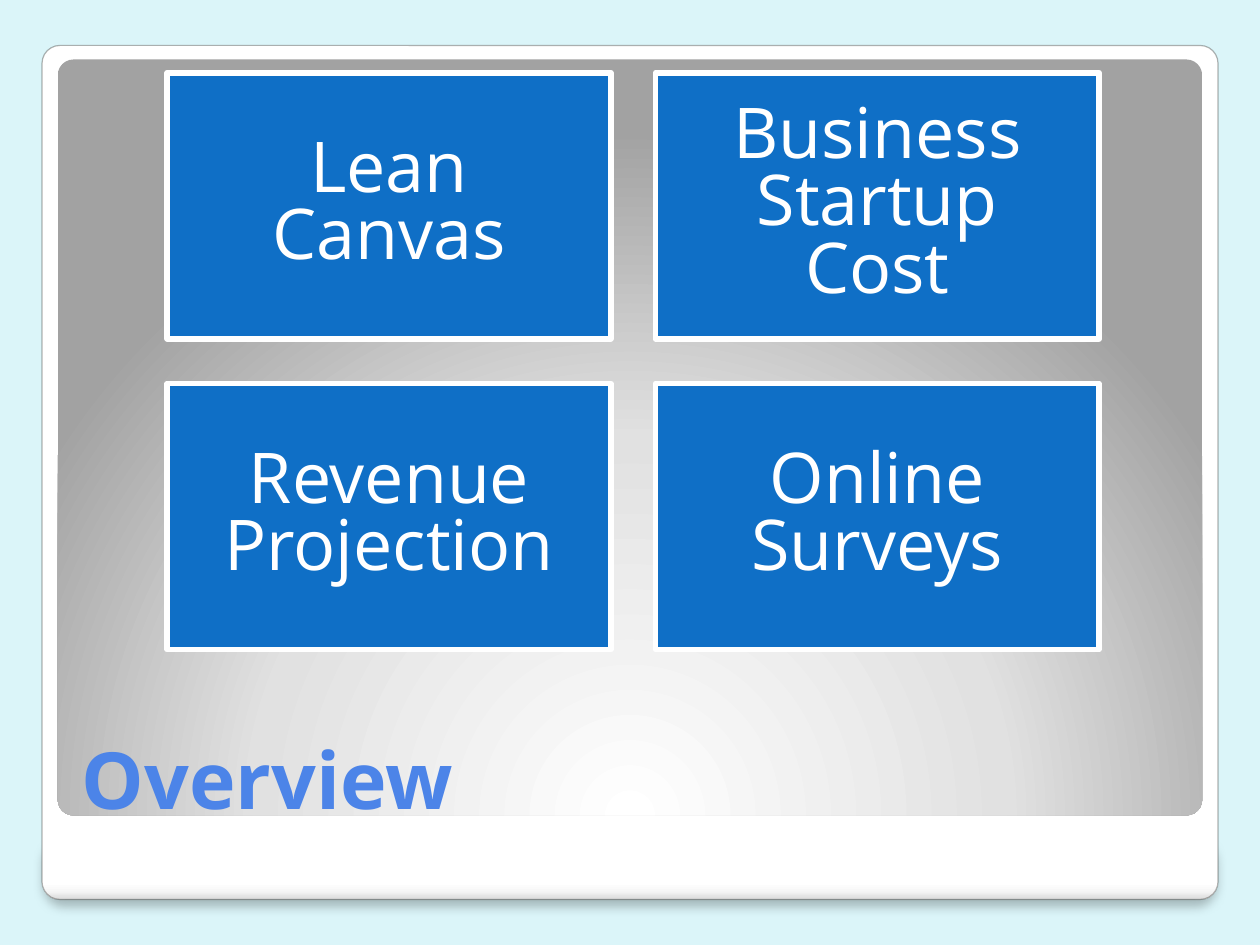
import dataclasses

import lxml.etree
import pptx
import pptx.dml.color
import pptx.enum.shapes
import pptx.enum.text
import pptx.oxml
import pptx.oxml.ns
import pptx.util

Pt = pptx.util.Pt
RGBColor = pptx.dml.color.RGBColor
SHAPE = pptx.enum.shapes.MSO_SHAPE
ALIGN = pptx.enum.text.PP_ALIGN
ANCHOR = pptx.enum.text.MSO_ANCHOR
qn = pptx.oxml.ns.qn

PALE_AQUA = RGBColor(0xDB, 0xF5, 0xF9)
FRAME_GREY = RGBColor(0x30, 0x2F, 0x2C)
TILE_BLUE = RGBColor(0x0F, 0x6F, 0xC6)
TITLE_BLUE = RGBColor(0x4C, 0x84, 0xE8)
WHITE = RGBColor(0xFF, 0xFF, 0xFF)
LIGHT_GREY = RGBColor(0xE1, 0xE1, 0xE1)
MID_GREY = RGBColor(0xA2, 0xA2, 0xA2)
EDGE_GREY = RGBColor(0xF7, 0xF7, 0xF7)
RIM_GREY = RGBColor(0xDA, 0xDA, 0xDA)
BLACK = RGBColor(0, 0, 0)

FONT = "Open Sans"
FRAME_STOPS = ((0, WHITE), (98, WHITE), (99, EDGE_GREY), (100, RIM_GREY))
GLOW_STOPS = ((0, WHITE), (55, LIGHT_GREY), (100, MID_GREY))
DOWNWARD = '<a:lin ang="5400000" scaled="0"/>'
FROM_BOTTOM = ('<a:path path="circle"><a:fillToRect l="100000" t="350000" '
               'r="100000" b="100000"/></a:path>')


@dataclasses.dataclass(frozen=True)
class Panel:
    left: float
    top: float
    width: float
    height: float
    corner: float
    stops: tuple
    direction: str
    outlined: bool = True
    shadowed: bool = False


PANELS = (
    Panel(25.2, 477.4, 669.6, 36, 0.333, FRAME_STOPS, DOWNWARD, shadowed=True),
    Panel(24, 26, 672, 488, 0.021, FRAME_STOPS, DOWNWARD),
    Panel(33, 34, 654, 432, 0.021, GLOW_STOPS, FROM_BOTTOM, outlined=False),
)

TILE_LABELS = ("Lean Canvas", "Business Startup Cost",
               "Revenue Projection", "Online Surveys")
TILE_COLUMNS = 2
TILE_LEFT, TILE_TOP = 95.6, 41.6
TILE_WIDTH, TILE_HEIGHT = 253.4, 152
TILE_GAP = 25.6
TILE_INSET = 12


def drawing_xml(markup: str) -> lxml.etree._Element:
    """Parse a DrawingML fragment whose root carries the {ns} marker."""
    return pptx.oxml.parse_xml(markup.replace("{ns}", pptx.oxml.ns.nsdecls("a")))


def set_gradient(shape, stops: tuple, direction: str) -> None:
    shape.fill.gradient()
    stop_markup = "".join(
        f'<a:gs pos="{position * 1000}"><a:srgbClr val="{color}"/></a:gs>'
        for position, color in stops)
    gradient = drawing_xml(f'<a:gradFill {{ns}} rotWithShape="1"><a:gsLst>{stop_markup}'
                           f'</a:gsLst>{direction}</a:gradFill>')
    properties = shape._element.spPr
    properties.replace(properties.find(qn("a:gradFill")), gradient)


def set_shadow(shape) -> None:
    effects = shape._element.spPr.find(qn("a:effectLst"))
    effects.append(drawing_xml(
        f'<a:outerShdw {{ns}} blurRad="{Pt(6)}" dist="{Pt(4)}" dir="5400000" '
        f'algn="t" rotWithShape="0"><a:srgbClr val="{BLACK}">'
        '<a:alpha val="25000"/></a:srgbClr></a:outerShdw>'))


def write_text(shape, text: str, *, size: float, color: RGBColor,
               bold: bool = False, align=ALIGN.LEFT, anchor=ANCHOR.MIDDLE,
               line_spacing: float = 1.0) -> None:
    frame = shape.text_frame
    frame.word_wrap = True
    frame.auto_size = pptx.enum.text.MSO_AUTO_SIZE.NONE
    frame.vertical_anchor = anchor
    paragraph = frame.paragraphs[0]
    paragraph.alignment = align
    paragraph.line_spacing = line_spacing
    run = paragraph.add_run()
    run.text = text
    run.font.name = FONT
    run.font.size = Pt(size)
    run.font.bold = bold
    run.font.color.rgb = color


def draw_panel(slide, panel: Panel) -> None:
    shape = slide.shapes.add_shape(
        SHAPE.ROUNDED_RECTANGLE, Pt(panel.left), Pt(panel.top),
        Pt(panel.width), Pt(panel.height))
    shape.adjustments[0] = panel.corner
    shape.shadow.inherit = False
    set_gradient(shape, panel.stops, panel.direction)
    if panel.outlined:
        shape.line.width = Pt(0.67)
        shape.line.color.rgb = FRAME_GREY
        line_color = shape.line._ln.find(".//" + qn("a:srgbClr"))
        line_color.append(drawing_xml('<a:alpha {ns} val="37000"/>'))
    else:
        shape.line.fill.background()
    if panel.shadowed:
        set_shadow(shape)


def draw_tile(slide, index: int, label: str) -> None:
    row, column = divmod(index, TILE_COLUMNS)
    tile = slide.shapes.add_shape(
        SHAPE.RECTANGLE,
        Pt(TILE_LEFT + column * (TILE_WIDTH + TILE_GAP)),
        Pt(TILE_TOP + row * (TILE_HEIGHT + TILE_GAP)),
        Pt(TILE_WIDTH), Pt(TILE_HEIGHT))
    tile.shadow.inherit = False
    tile.fill.solid()
    tile.fill.fore_color.rgb = TILE_BLUE
    tile.line.color.rgb = WHITE
    tile.line.width = Pt(3.35)
    frame = tile.text_frame
    frame.margin_left = frame.margin_right = Pt(TILE_INSET)
    frame.margin_top = frame.margin_bottom = Pt(TILE_INSET)
    write_text(tile, label, size=40, color=WHITE, align=ALIGN.CENTER,
               line_spacing=0.8)


def place_title(slide, text: str) -> None:
    title = slide.shapes.title
    title.left, title.top = Pt(39.6), Pt(392.4)
    title.width, title.height = Pt(644.4), Pt(82.8)
    write_text(title, text, size=45, color=TITLE_BLUE, bold=True,
               anchor=ANCHOR.BOTTOM)
    # Bring the title in front of the panels
    slide.shapes._spTree.append(title._element)


presentation = pptx.Presentation()
presentation.slide_width, presentation.slide_height = Pt(720), Pt(540)
slide = presentation.slides.add_slide(
    presentation.slide_layouts.get_by_name("Title Only"))

# Background and framed panels
slide.background.fill.solid()
slide.background.fill.fore_color.rgb = PALE_AQUA
for panel in PANELS:
    draw_panel(slide, panel)

# Title
place_title(slide, "Overview")

# Grid of topics
for index, label in enumerate(TILE_LABELS):
    draw_tile(slide, index, label)

presentation.save("out.pptx")
